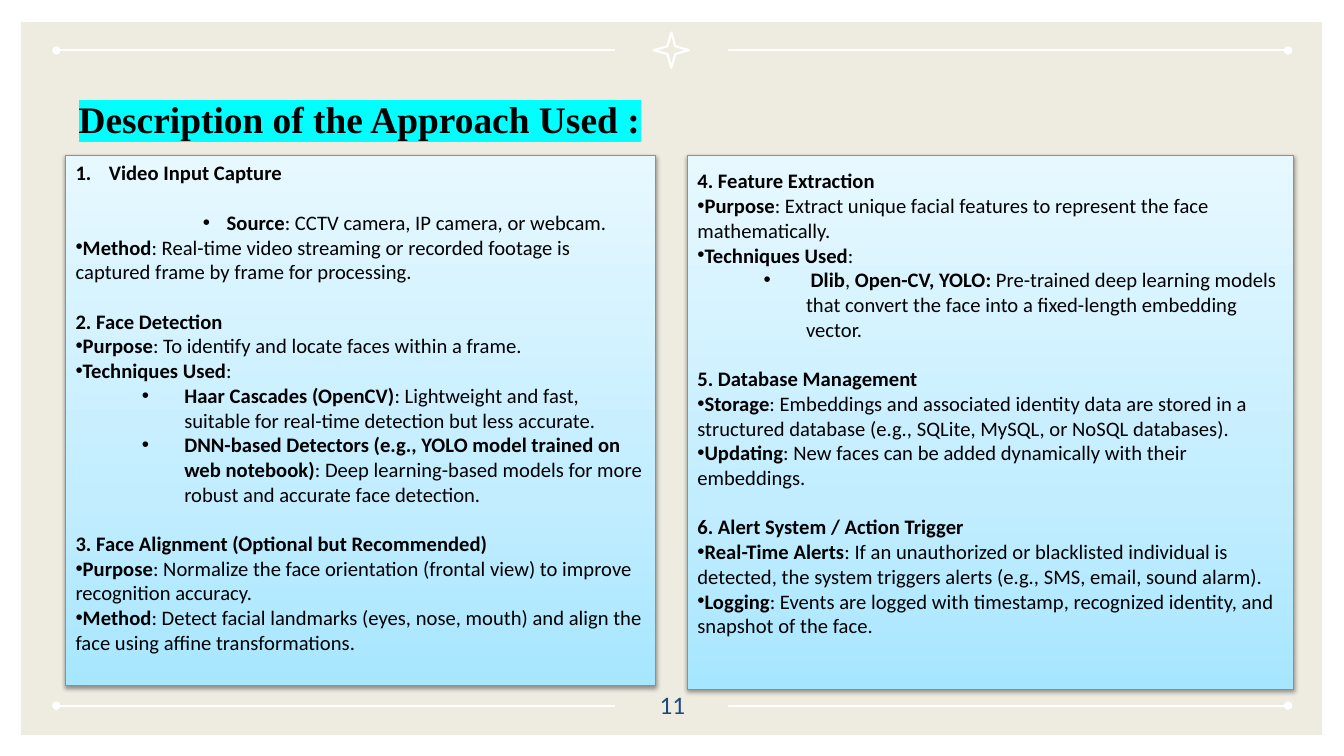
from lxml import etree
from pptx import Presentation
from pptx.dml.color import RGBColor
from pptx.enum.shapes import MSO_CONNECTOR, MSO_SHAPE
from pptx.enum.text import MSO_ANCHOR, MSO_AUTO_SIZE, PP_ALIGN
from pptx.oxml.ns import qn
from pptx.util import Cm, Pt

STRAIGHT = MSO_CONNECTOR.STRAIGHT
RECT, STAR = MSO_SHAPE.RECTANGLE, MSO_SHAPE.STAR_4_POINT
TOP, MIDDLE = MSO_ANCHOR.TOP, MSO_ANCHOR.MIDDLE
LEFT, CENTER = PP_ALIGN.LEFT, PP_ALIGN.CENTER
FIXED = MSO_AUTO_SIZE.NONE

WHITE = RGBColor(0xFF, 0xFF, 0xFF)
BLACK = RGBColor(0, 0, 0)
SAND = RGBColor(0xEE, 0xEC, 0xE1)
NAVY = RGBColor(0x1F, 0x49, 0x7D)
TEAL = RGBColor(0x46, 0xAA, 0xC5)
CYAN = RGBColor(0, 0xFF, 0xFF)
FADE = {0: RGBColor(0xA7, 0xE6, 0xFF), 35: RGBColor(0xC1, 0xED, 0xFF),
        100: RGBColor(0xE7, 0xF8, 0xFF)}

TITLE = {"size": Pt(26.7), "bold": True, "name": "Times New Roman"}
BODY = {"size": Pt(14.7), "name": "Calibri"}
DIGIT = {"size": Pt(18), "name": "Calibri"}
PAD = {f"margin_{side}": Cm(0.33) for side in ("left", "top", "right", "bottom")}
GAP = Pt(17.6)

DOT = ("buChar", {"char": "•"})
NONE = ("buNone", {})
STYLES = {
    "first": (0.84, -0.84, ("buAutoNum", {"type": "arabicPeriod"})),
    "head": (0, 0, NONE),
    "dot": (0, 0, DOT),
    "inset": (3.81, -0.6, DOT),
    "sub": (2.74, -1.07, DOT),
}

INPUTS = [
    ("first", False, ["Video Input Capture"]),
    ("inset", True, ["Source", ": CCTV camera, IP camera, or webcam."]),
    ("dot", False, ["Method", ": Real-time video streaming or recorded footage is captured frame by frame for processing."]),
    ("head", True, ["2. Face Detection"]),
    ("dot", False, ["Purpose", ": To identify and locate faces within a frame."]),
    ("dot", False, ["Techniques Used", ":"]),
    ("sub", False, ["Haar Cascades (OpenCV)", ": Lightweight and fast, suitable for real-time detection but less accurate."]),
    ("sub", False, ["DNN-based Detectors (e.g., YOLO model trained on web notebook)", ": Deep learning-based models for more robust and accurate face detection."]),
    ("head", True, ["3. Face Alignment (Optional but Recommended)"]),
    ("dot", False, ["Purpose", ": Normalize the face orientation (frontal view) to improve recognition accuracy."]),
    ("dot", False, ["Method", ": Detect facial landmarks (eyes, nose, mouth) and align the face using affine transformations."]),
]
OUTPUTS = [
    ("head", False, ["4. Feature Extraction"]),
    ("dot", False, ["Purpose", ": Extract unique facial features to represent the face mathematically."]),
    ("dot", False, ["Techniques Used", ":"]),
    ("sub", False, [" Dlib", ", ", "Open-CV, YOLO:", " Pre-trained deep learning models that convert the face into a fixed-length embedding vector."]),
    ("head", True, ["5. Database Management"]),
    ("dot", False, ["Storage", ": Embeddings and associated identity data are stored in a structured database (e.g., SQLite, MySQL, or NoSQL databases)."]),
    ("dot", False, ["Updating", ": New faces can be added dynamically with their embeddings."]),
    ("head", True, ["6. Alert System / Action Trigger"]),
    ("dot", False, ["Real-Time Alerts", ": If an unauthorized or blacklisted individual is detected, the system triggers alerts (e.g., SMS, email, sound alarm)."]),
    ("dot", False, ["Logging", ": Events are logged with timestamp, recognized identity, and snapshot of the face."]),
]


def apply(item, values):
    for key, value in values.items():
        setattr(item, key, value)


def node(root, tag, **attrs):
    return etree.SubElement(root, qn("a:" + tag), {k: str(v) for k, v in attrs.items()})


def place(shape, box):
    apply(shape, dict(zip(("left", "top", "width", "height"), map(Cm, box))))


def write(para, text, color, style):
    run = para.add_run()
    run.text = text
    run.font.color.rgb = color
    apply(run.font, style)
    return run


def rail(slide, x1, x2, y, end):
    line = slide.shapes.add_connector(STRAIGHT, Cm(x1), Cm(y), Cm(x2), Cm(y))
    line.line.color.rgb = WHITE
    line.line.width = Pt(1.5)
    node(line.line._get_or_add_ln(), end, type="oval")
    node(line._element.spPr, "effectLst")


def frame(slide, box):
    left, top, width, height = box
    base = slide.shapes.add_shape(RECT, *map(Cm, box))
    base.shadow.inherit = False
    base.fill.solid()
    base.fill.fore_color.rgb = SAND
    base.line.fill.background()
    mid = left + width / 2
    for y in (top + 0.71, top + height - 0.74):
        rail(slide, left + 0.89, mid - 1.43, y, "headEnd")
        rail(slide, mid + 1.43, left + width - 0.86, y, "tailEnd")
    star = slide.shapes.add_shape(STAR, Cm(mid - 0.45), Cm(top + 0.26), Cm(0.89), Cm(0.89))
    star.adjustments[0] = 0.157
    star.shadow.inherit = False
    star.fill.background()
    star.line.color.rgb = WHITE
    star.line.width = Pt(1.5)


def head(slide, box, text):
    title = slide.shapes.title
    slide.shapes._spTree.append(title._element)
    place(title, box)
    area = title.text_frame
    apply(area, PAD | {"word_wrap": True, "auto_size": FIXED, "vertical_anchor": MIDDLE})
    para = area.paragraphs[0]
    para.alignment = LEFT
    props = write(para, text, BLACK, TITLE)._r.get_or_add_rPr()
    mark = node(props, "highlight")
    node(mark, "srgbClr", val=CYAN)
    props.find(qn("a:solidFill")).addnext(mark)


def page(slide, box, text):
    label = slide.shapes.add_textbox(*map(Cm, box))
    apply(label.text_frame, PAD | {"word_wrap": True, "vertical_anchor": TOP})
    para = label.text_frame.paragraphs[0]
    para.alignment = CENTER
    write(para, text, NAVY, DIGIT)


def skin(panel):
    props = panel._element.spPr
    fade = node(props, "gradFill", rotWithShape=1)
    stops = node(fade, "gsLst")
    for spot, color in FADE.items():
        node(node(stops, "gs", pos=spot * 1000), "srgbClr", val=color)
    node(fade, "lin", ang=16200000, scaled=0)
    panel.line.color.rgb = TEAL
    panel.line.width = Pt(0.75)
    cast = node(node(props, "effectLst"), "outerShdw", blurRad=Pt(3.1),
                dist=Pt(1.6), dir=5400000, rotWithShape=0)
    node(node(cast, "srgbClr", val=BLACK), "alpha", val=38000)


def panel(slide, slot, box, rows, inset):
    card = slide.placeholders[slot]
    slide.shapes._spTree.append(card._element)
    place(card, box)
    skin(card)
    area = card.text_frame
    apply(area, {"word_wrap": True, "auto_size": FIXED, "vertical_anchor": TOP,
                 "margin_top": Cm(inset)})
    for i, (kind, gap, parts) in enumerate(rows):
        para = area.add_paragraph() if i else area.paragraphs[0]
        margin, indent, (tag, attrs) = STYLES[kind]
        props = para._p.get_or_add_pPr()
        props.set("marL", str(Cm(margin)))
        props.set("indent", str(Cm(indent)))
        node(props, tag, **attrs)
        para.space_before = GAP if gap else Pt(0)
        for j, text in enumerate(parts):
            write(para, text, BLACK, BODY | {"bold": j % 2 == 0})


def main():
    deck = Presentation()
    deck.slide_width, deck.slide_height = Cm(33.87), Cm(19.05)
    slide = deck.slides.add_slide(deck.slide_layouts[3])
    frame(slide, (0.53, 0.56, 32.79, 17.96))
    head(slide, (1.65, 1.93, 28.52, 2.13), "Description of the Approach Used :")
    page(slide, (15.93, 17.04, 2.03, 1.24), "11")
    panel(slide, 1, (1.65, 3.91, 14.88, 13.36), INPUTS, 0.13)
    panel(slide, 2, (17.32, 3.91, 15.29, 13.46), OUTPUTS, 0.33)
    deck.save("out.pptx")


if __name__ == "__main__":
    main()
